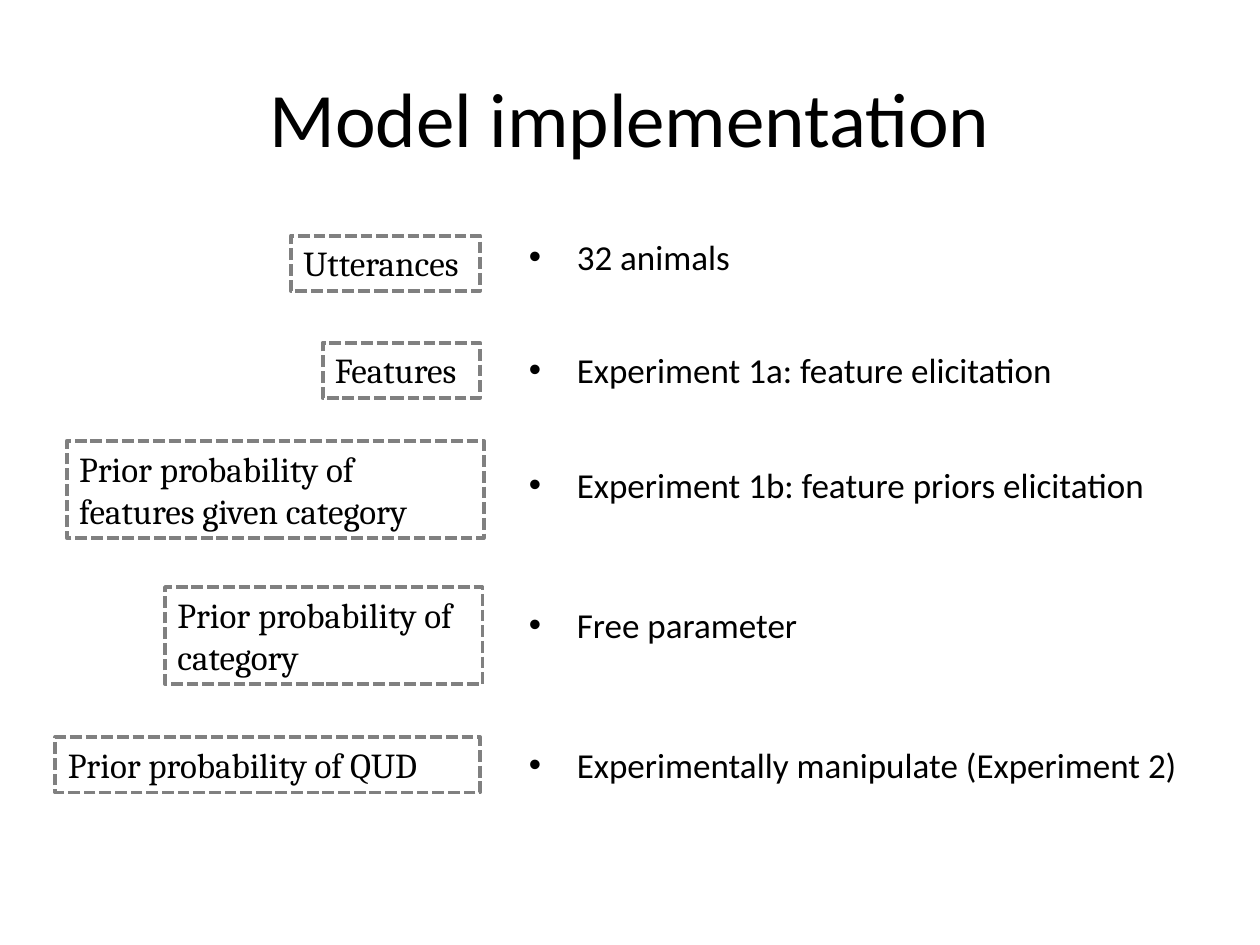
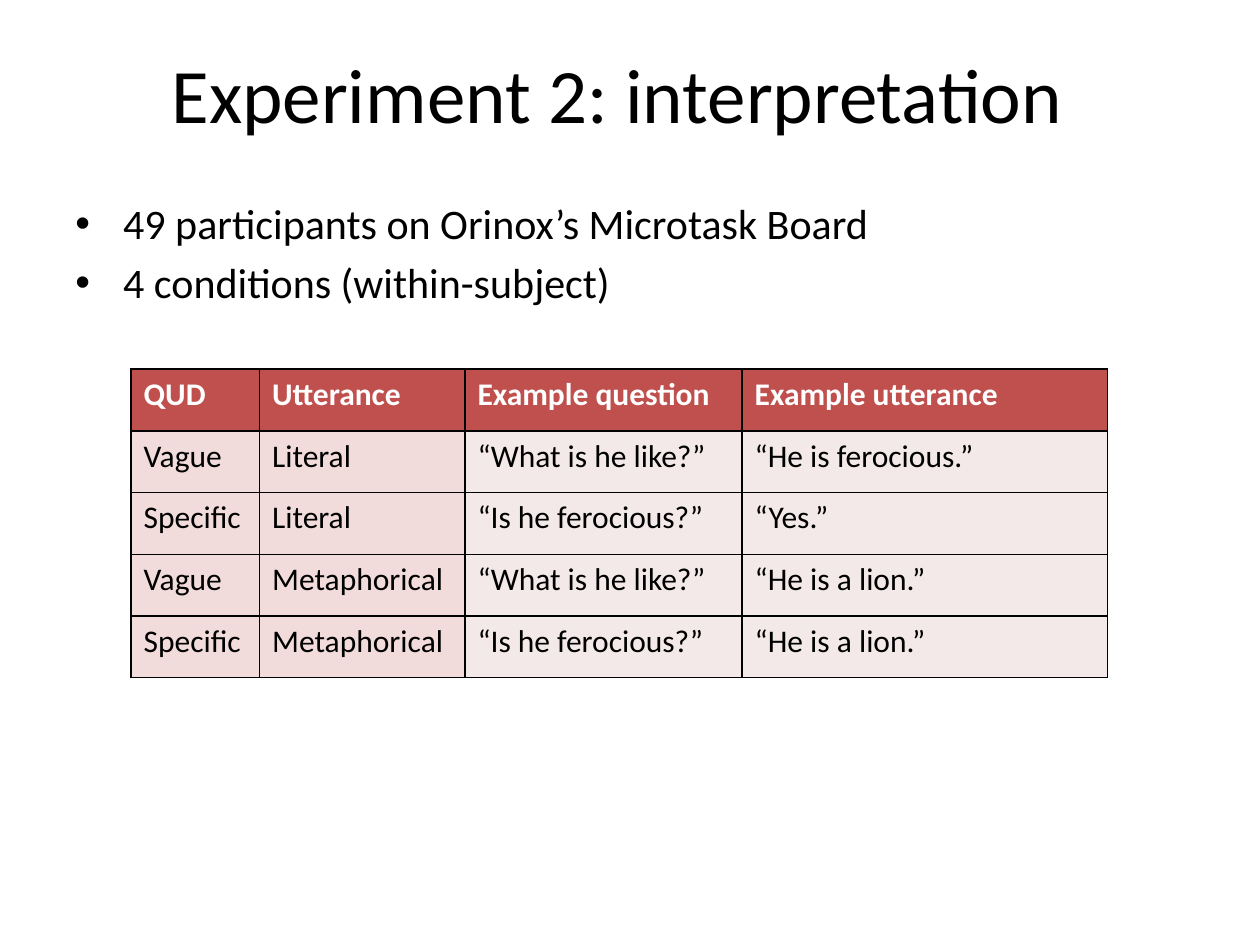
from lxml.etree import SubElement
from pptx import Presentation
from pptx.dml.color import RGBColor
from pptx.enum.dml import MSO_LINE
from pptx.enum.shapes import MSO_SHAPE
from pptx.enum.text import MSO_ANCHOR, PP_ALIGN
from pptx.oxml.ns import qn
from pptx.util import Inches, Pt

COLORS = {
    "text": "000000",
    "label_line": "808080",
    "header_text": "FFFFFF",
    "header": "C0504D",
    "condition": "F2DCDB",
    "example": "F4E9E9",
    "border": "000000",
}
BODY_FONT = "Calibri"
LABEL_FONT = "Cambria"
BULLET_INDENT = Inches(0.38)
LABEL_RIGHT = 3.38
BULLET_LEFT = 3.66

# label, its left, top, width and height, then the note and its top
COMPONENTS = [
    ("Utterances", 1.87, 0.05, 1.5, 0.44, "32 animals", 0),
    ("Features", 2.12, 0.9, 1.25, 0.44, "Experiment 1a: feature elicitation", 0.9),
    ("Prior probability of features given category", 0.09, 1.68, 3.31, 0.77,
     "Experiment 1b: feature priors elicitation", 1.81),
    ("Prior probability of category", 0.87, 2.84, 2.52, 0.77, "Free parameter", 2.92),
    ("Prior probability of QUD", 0, 4.03, 3.37, 0.44,
     "Experimentally manipulate (Experiment 2)", 4.03),
]
CONDITIONS = [
    ("QUD", "Utterance", "Example question", "Example utterance"),
    ("Vague", "Literal", "“What is he like?”", "“He is ferocious.”"),
    ("Specific", "Literal", "“Is he ferocious?”", "“Yes.”"),
    ("Vague", "Metaphorical", "“What is he like?”", "“He is a lion.”"),
    ("Specific", "Metaphorical", "“Is he ferocious?”", "“He is a lion.”"),
]
COLUMN_WIDTHS = (1.02, 1.63, 2.2, 2.9)
ROW_HEIGHT = 0.49


def rgb(name):
    return RGBColor.from_string(COLORS[name])


def write(text_frame, *lines, size=20, font=BODY_FONT, color="text", bold=False,
          align=PP_ALIGN.LEFT, anchor=MSO_ANCHOR.TOP, bullet=False):
    text_frame.word_wrap = True
    text_frame.vertical_anchor = anchor
    for index, line in enumerate(lines):
        paragraph = text_frame.paragraphs[0] if index == 0 else text_frame.add_paragraph()
        paragraph.alignment = align
        if bullet:
            add_bullet(paragraph)
            paragraph.space_before = Pt(0.2 * size if index else 0)
        run = paragraph.add_run()
        run.text = line
        run.font.size = Pt(size)
        run.font.name = font
        run.font.bold = bold
        run.font.color.rgb = rgb(color)


def add_bullet(paragraph):
    properties = paragraph._p.get_or_add_pPr()
    properties.set("marL", str(BULLET_INDENT))
    properties.set("indent", str(-BULLET_INDENT))
    SubElement(properties, qn("a:buFont"), typeface="Arial")
    SubElement(properties, qn("a:buChar"), char="•")


def add_text(slide, box, *lines, **style):
    text_box = slide.shapes.add_textbox(*map(Inches, box))
    write(text_box.text_frame, *lines, **style)


def add_title(slide, left, top, text):
    add_text(slide, (left, top, 9, 1.25), text, size=44,
             align=PP_ALIGN.CENTER, anchor=MSO_ANCHOR.MIDDLE)


def add_label(slide, box, text):
    label = slide.shapes.add_shape(MSO_SHAPE.RECTANGLE, *map(Inches, box))
    label.shadow.inherit = False
    label.fill.background()
    label.line.color.rgb = rgb("label_line")
    label.line.width = Pt(2.25)
    label.line.dash_style = MSO_LINE.SQUARE_DOT
    # SQUARE_DOT is the sysDot preset; the labels use the longer sysDash
    label.line._ln.find(qn("a:prstDash")).set("val", "sysDash")
    write(label.text_frame, text, font=LABEL_FONT)


def add_components(slide, left, top):
    """Model parts in dashed labels, each with its source as a bullet."""
    for text, x, y, width, height, note, note_y in COMPONENTS:
        add_label(slide, (left + x, top + y, width, height), text)
        add_text(slide, (left + BULLET_LEFT, top + note_y, 5.4, 0.48), note, bullet=True)


def add_cell_borders(cell):
    properties = cell._tc.get_or_add_tcPr()
    for index, side in enumerate(("lnL", "lnR", "lnT", "lnB")):
        line = SubElement(properties, qn(f"a:{side}"), w=str(Pt(1)))
        fill = SubElement(line, qn("a:solidFill"))
        SubElement(fill, qn("a:srgbClr"), val=COLORS["border"])
        properties.insert(index, line)


def add_conditions_table(slide, left, top):
    box = (left, top, sum(COLUMN_WIDTHS), ROW_HEIGHT * len(CONDITIONS))
    table = slide.shapes.add_table(
        len(CONDITIONS), len(COLUMN_WIDTHS), *map(Inches, box)).table
    for column, width in zip(table.columns, COLUMN_WIDTHS):
        column.width = Inches(width)
    for row_index, values in enumerate(CONDITIONS):
        is_header = row_index == 0
        for column_index, value in enumerate(values):
            cell = table.cell(row_index, column_index)
            body_fill = "condition" if column_index < 2 else "example"
            cell.fill.solid()
            cell.fill.fore_color.rgb = rgb("header" if is_header else body_fill)
            add_cell_borders(cell)
            write(cell.text_frame, value, size=18, bold=is_header,
                  color="header_text" if is_header else "text")


def build_model_slide(slide):
    add_title(slide, 0.5, 0.3, "Model implementation")
    add_components(slide, 0.44, 1.82)


def build_experiment_slide(slide):
    add_title(slide, 0.4, 0.11, "Experiment 2: interpretation")
    add_text(slide, (0.5, 1.52, 9, 1.41), "49 participants on Orinox’s Microtask Board",
             "4 conditions (within-subject)", size=24, bullet=True)
    add_conditions_table(slide, 1.04, 2.93)


def main():
    presentation = Presentation()
    presentation.slide_width = Inches(10)
    presentation.slide_height = Inches(7.5)
    blank_layout = presentation.slide_layouts[6]
    for build in (build_model_slide, build_experiment_slide):
        build(presentation.slides.add_slide(blank_layout))
    presentation.save("out.pptx")


if __name__ == "__main__":
    main()
